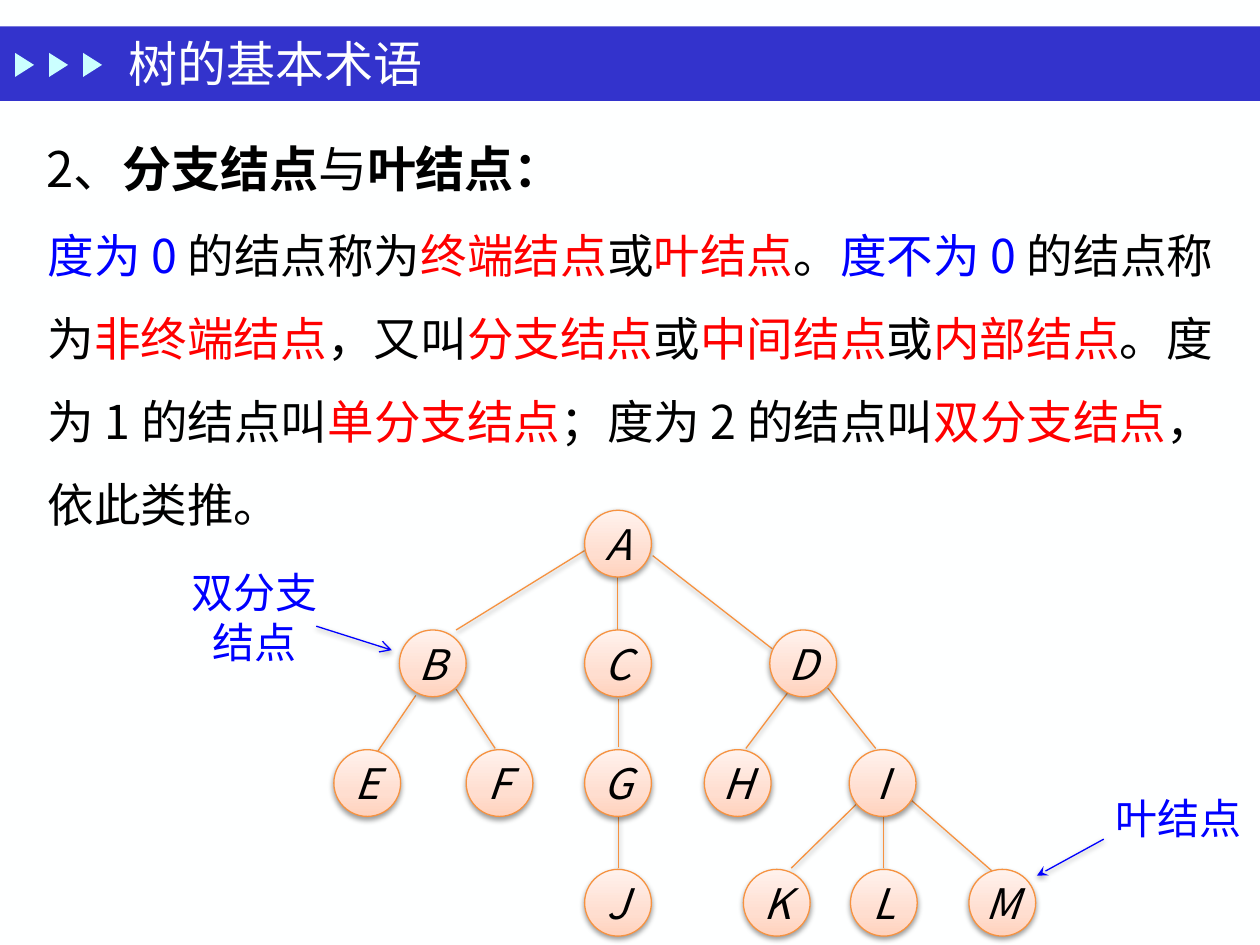
from lxml import etree
from pptx import Presentation
from pptx.dml.color import RGBColor
from pptx.enum.shapes import MSO_CONNECTOR, MSO_SHAPE
from pptx.enum.text import MSO_ANCHOR, PP_ALIGN
from pptx.oxml.ns import qn
from pptx.util import Inches, Pt

LINE = MSO_CONNECTOR.STRAIGHT
RECT, OVAL, TRI = MSO_SHAPE.RECTANGLE, MSO_SHAPE.OVAL, MSO_SHAPE.ISOSCELES_TRIANGLE
LEFT, MID = PP_ALIGN.LEFT, PP_ALIGN.CENTER
TOP, CENTER = MSO_ANCHOR.TOP, MSO_ANCHOR.MIDDLE

BLACK, BLUE, RED, WHITE = "000000", "0000FF", "FF0000", "FEFFFF"
ORANGE = "F69240"
SANS, SERIF = "Noto Sans CJK SC", "Times New Roman"
STOPS = [(0, "FFD2BD"), (35, "FFDED0"), (100, "FFF2ED")]

SIZE, ROW_TOP, ROW_STEP = 0.53, 4.05, 0.95
NODES = [
    {"A": 4.64},
    {"B": 3.17, "C": 4.64, "D": 6.11},
    {"E": 2.65, "F": 3.7, "G": 4.64, "H": 5.59, "I": 6.74},
    {"J": 4.64, "K": 5.9, "L": 6.75, "M": 7.69},
]
EDGES = [
    (3.3, 5.52, 3, 5.96), (3.62, 5.47, 3.93, 5.94),
    (4.64, 4.37, 3.62, 5), (4.9, 4.58, 4.9, 5), (5.18, 4.41, 6.13, 5.15),
    (4.91, 5.55, 4.91, 5.93), (4.91, 6.47, 4.91, 6.89),
    (6.25, 5.5, 5.92, 5.94), (6.57, 5.46, 6.95, 5.94),
    (6.81, 6.37, 6.28, 6.89), (7.01, 6.47, 7.01, 6.89), (7.22, 6.34, 7.87, 6.91),
]
HEAD = [("2、", BLACK), ("分支结点", BLACK, True), ("与", BLACK), ("叶结点：", BLACK, True)]
BODY = [
    ("度为 0 ", BLUE), ("的结点称为", BLACK), ("终端结点", RED), ("或", BLACK),
    ("叶结点", RED), ("。", BLACK), ("度不为 0 ", BLUE), ("的结点称为", BLACK),
    ("非终端结点", RED), ("，又叫", BLACK), ("分支结点", RED), ("或", BLACK),
    ("中间结点", RED), ("或", BLACK), ("内部结点", RED), ("。度为 1 的结点叫", BLACK),
    ("单分支结点", RED), ("；度为 2 的结点叫", BLACK), ("双分支结点", RED),
    ("，依此类推。", BLACK),
]


def color(code):
    return RGBColor.from_string(code)


def sub(parent, tag, **attrs):
    """Append a DrawingML child element."""
    node = etree.SubElement(parent, qn(tag))
    for key, value in attrs.items():
        node.set(key, str(value))
    return node


def write(shape, runs, size=24, font=SANS, align=LEFT, anchor=TOP,
          wrap=True, italic=False, gap=None):
    """Fill a shape with one paragraph of (text, colour, bold) runs."""
    frame = shape.text_frame
    frame.word_wrap, frame.vertical_anchor = wrap, anchor
    para = frame.paragraphs[0]
    para.alignment, para.line_spacing = align, gap
    for text, tint, *bold in runs:
        run = para.add_run()
        run.text = text
        face = run.font
        face.size, face.name = Pt(size), font
        face.bold, face.italic = bool(bold), italic
        face.color.rgb = color(tint)
        sub(run._r.get_or_add_rPr(), "a:ea", typeface=SANS)


def shade(shape):
    """Give a shape the soft drop shadow of the tree."""
    effects = sub(shape._element.spPr, "a:effectLst")
    shadow = sub(effects, "a:outerShdw", blurRad=Pt(3.1), dist=Pt(1.6),
                 dir=5400000, rotWithShape=0)
    sub(sub(shadow, "a:srgbClr", val=BLACK), "a:alpha", val=38000)


class Board:
    def __init__(self, deck):
        self.slide = deck.slides.add_slide(deck.slide_layouts[5])
        self.shapes = self.slide.shapes
        fill = self.slide.background.fill
        fill.solid()
        fill.fore_color.rgb = color(WHITE)

    def title(self, text, *box):
        shape = self.shapes.title
        shape.left, shape.top, shape.width, shape.height = map(Inches, box)
        write(shape, [(text, WHITE)], size=28, font=SERIF, anchor=CENTER)
        self.shapes._spTree.append(shape._element)  # in front of the band

    def plain(self, kind, fill, *box, turn=0):
        shape = self.shapes.add_shape(kind, *map(Inches, box))
        shape.shadow.inherit = False
        shape.fill.solid()
        shape.fill.fore_color.rgb = color(fill)
        shape.line.fill.background()
        shape.rotation = turn

    def text(self, runs, *box, **style):
        write(self.shapes.add_textbox(*map(Inches, box)), runs, **style)

    def node(self, name, left, top):
        shape = self.shapes.add_shape(OVAL, *map(Inches, (left, top, SIZE, SIZE)))
        shape.fill.gradient()
        shape.fill.gradient_angle = 90
        stops = shape._element.spPr.find(qn("a:gradFill")).find(qn("a:gsLst"))
        stops.clear()
        for place, tint in STOPS:
            sub(sub(stops, "a:gs", pos=place * 1000), "a:srgbClr", val=tint)
        shape.line.color.rgb, shape.line.width = color(ORANGE), Pt(0.75)
        shade(shape)
        write(shape, [(name, BLACK)], align=MID, anchor=CENTER, wrap=False, italic=True)

    def link(self, *ends, tint=ORANGE, tip=None):
        line = self.shapes.add_connector(LINE, *map(Inches, ends))
        line.line.color.rgb, line.line.width = color(tint), Pt(0.75)
        if tip:
            sub(line.line._get_or_add_ln(), "a:tailEnd", type=tip)
        shade(line)


def main():
    deck = Presentation()
    deck.slide_width, deck.slide_height = Inches(10), Inches(7.5)
    board = Board(deck)

    board.plain(RECT, "3333CC", 0, 0.21, 10, 0.59)
    for i in range(3):
        board.plain(TRI, "CBFFFF", 0.1 + 0.27 * i, 0.44, 0.19, 0.15, turn=90)
    board.title("树的基本术语", 0.92, 0.21, 7, 0.58)

    label = {"align": MID, "gap": Pt(28.6)}
    board.link(8.76, 6.66, 8.23, 6.95, tint=BLUE, tip="stealth")
    board.text([("叶结点", BLUE)], 8.75, 6.24, 1.21, 0.5, **label)
    board.text([("双分支结点", BLUE)], 1.34, 4.45, 1.36, 0.91, **label)
    board.link(2.51, 4.97, 3.11, 5.16, tint=BLUE, tip="arrow")

    for ends in EDGES:
        board.link(*ends)
    for i, row in enumerate(NODES):
        for name, left in row.items():
            board.node(name, left, ROW_TOP + ROW_STEP * i)

    board.text(BODY, 0.28, 1.54, 9.45, 2.71, size=26.6, gap=Pt(47.4))
    board.text(HEAD, 0.27, 1, 8.47, 0.58, size=28, gap=1.1)

    deck.save("out.pptx")


if __name__ == "__main__":
    main()
